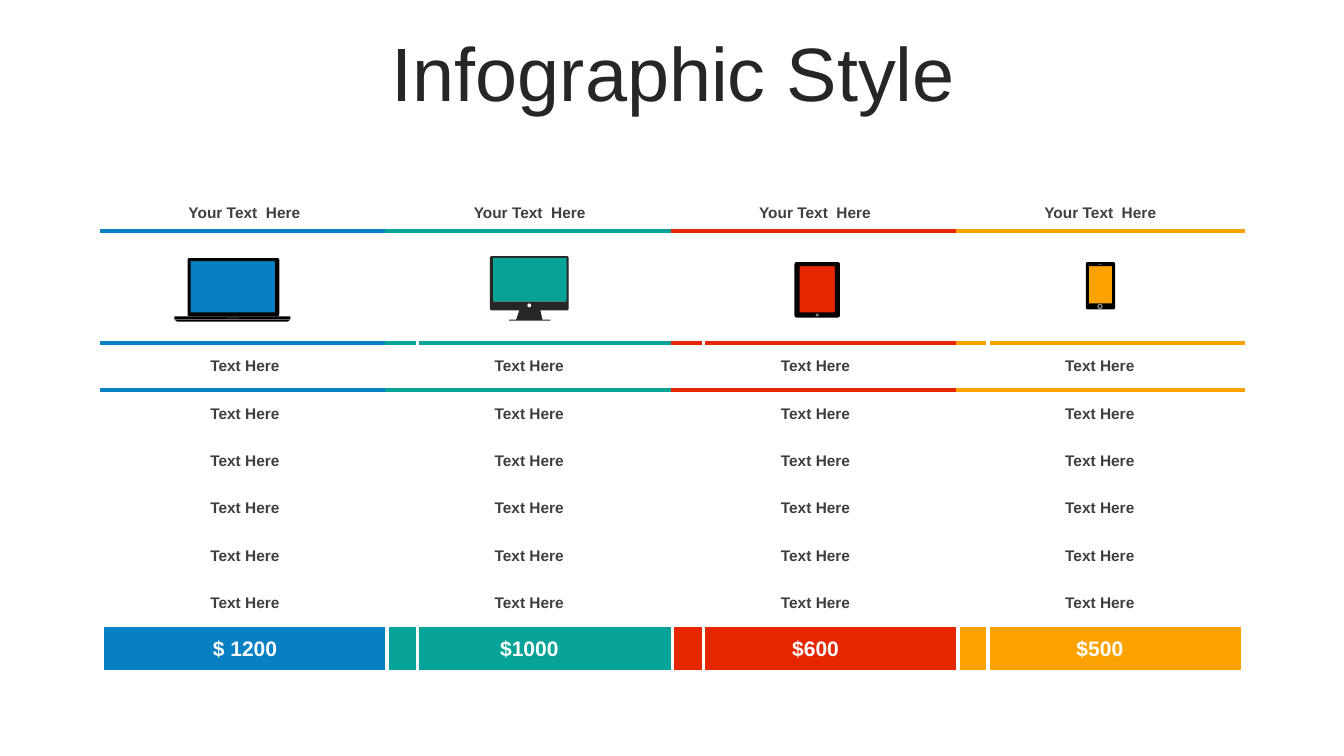
from math import cos, pi, sin

from lxml.etree import SubElement
from pptx import Presentation
from pptx.dml.color import RGBColor
from pptx.enum.shapes import MSO_SHAPE
from pptx.enum.text import MSO_ANCHOR, PP_ALIGN
from pptx.oxml.ns import qn
from pptx.util import Inches, Pt

BLUE = RGBColor(0x06, 0x80, 0xC3)
TEAL = RGBColor(0x07, 0xA3, 0x98)
RED = RGBColor(0xE6, 0x26, 0x01)
ORANGE = RGBColor(0xFB, 0xA2, 0x00)
WHITE = RGBColor(0xFF, 0xFF, 0xFF)
BLACK = RGBColor(0x00, 0x00, 0x00)
INK = RGBColor(0x26, 0x26, 0x26)
DARK_GREY = RGBColor(0x3F, 0x3F, 0x3F)
GREY = RGBColor(0x7F, 0x7F, 0x7F)

FONT = "Arial"
NO_STYLE = "{2D5ABB26-0587-4C30-8999-92F81FD0307C}"
PLANS = [(BLUE, "$ 1200"), (TEAL, "$1000"), (RED, "$600"), (ORANGE, "$500")]
ROW_HEIGHTS = [0.36, 1.11] + [0.47] * 6 + [0.45]
PLAN_WIDTHS = [[0.31, 2.22, 0.3], [0.3, 2.22, 0.31]] * 2


def write(paragraph, text, size, color, bold=False):
    paragraph.text = text
    paragraph.alignment = PP_ALIGN.CENTER
    for span in paragraph.runs:
        span.font.name = FONT
        span.font.size = Pt(size)
        span.font.bold = bold
        span.font.color.rgb = color


def add_title(page):
    title = page.shapes.title
    title.left, title.top = Inches(0.35), Inches(0.37)
    title.width, title.height = Inches(12.66), Inches(0.79)
    title.text_frame.vertical_anchor = MSO_ANCHOR.MIDDLE
    paragraph = title.text_frame.paragraphs[0]
    write(paragraph, "Infographic Style", 54, INK)
    paragraph.line_spacing = 0.9


def set_borders(cell, borders):
    properties = cell._tc.get_or_add_tcPr()
    for side in ("L", "R", "T", "B"):
        if side in borders:
            line = SubElement(properties, qn(f"a:ln{side}"), w=str(Pt(3)))
            fill = SubElement(line, qn("a:solidFill"))
            SubElement(fill, qn("a:srgbClr"), val=str(borders[side]))


def plan_borders(row, part, color):
    last = len(ROW_HEIGHTS) - 1
    edges = {"T": {0: WHITE, 1: color, 2: color}, "B": {0: color, 1: color, last: WHITE}}
    borders = {side: rows[row] for side, rows in edges.items() if row in rows}
    if part == 0 or row < 2:
        borders["L"] = WHITE
    if part == 2 or row < 2:
        borders["R"] = WHITE
    return borders


def fill_cell(cell, text, size, color, background, borders):
    set_borders(cell, borders)
    cell.fill.solid()
    cell.fill.fore_color.rgb = background
    cell.vertical_anchor = MSO_ANCHOR.MIDDLE
    cell.margin_left = cell.margin_right = Inches(0.08)
    cell.margin_top = cell.margin_bottom = Inches(0.04 if text else 0)
    if text:
        write(cell.text_frame.paragraphs[0], text, size, color, True)


def add_price_table(page):
    widths = [width for plan in PLAN_WIDTHS for width in plan]
    frame = page.shapes.add_table(
        len(ROW_HEIGHTS), len(widths), Inches(1.01), Inches(1.93),
        Inches(sum(widths)), Inches(sum(ROW_HEIGHTS)))
    table = frame.table
    table.first_row = table.horz_banding = False
    table._tbl.tblPr.find(qn("a:tableStyleId")).text = NO_STYLE
    for column, width in zip(table.columns, widths):
        column.width = Inches(width)
    for row, height in zip(table.rows, ROW_HEIGHTS):
        row.height = Inches(height)

    for plan, (color, price) in enumerate(PLANS):
        first = plan * 3
        for row in range(len(ROW_HEIGHTS)):
            is_price = row == len(ROW_HEIGHTS) - 1
            texts = ["", "Text Here", ""]
            if row == 0:
                texts = ["Your Text  Here", "", ""]
            elif row == 1:
                texts = ["", "", ""]
            elif is_price:
                texts = ["", price, ""]
            for part, text in enumerate(texts):
                fill_cell(
                    table.cell(row, first + part), text,
                    15 if is_price else 11,
                    WHITE if is_price else DARK_GREY,
                    color if is_price else WHITE,
                    plan_borders(row, part, color))
            if row < 2:
                table.cell(row, first).merge(table.cell(row, first + 2))


def paint(shape, color):
    shape.shadow.inherit = False
    shape.fill.solid()
    shape.fill.fore_color.rgb = color
    shape.line.fill.background()


def add_part(group, kind, left, top, width, height, color):
    shape = group.shapes.add_shape(
        kind, Inches(left), Inches(top), Inches(width), Inches(height))
    paint(shape, color)
    return shape


def arc(x, y, radius, start, sweep, steps):
    angles = [start + sweep * step / steps for step in range(steps + 1)]
    return [(x + radius * cos(a), y + radius * sin(a)) for a in angles]


def rounded(left, top, right, bottom, radius=0.02):
    corners = [(right - radius, bottom - radius), (left + radius, bottom - radius),
               (left + radius, top + radius), (right - radius, top + radius)]
    return [point for turn, (x, y) in enumerate(corners)
            for point in arc(x, y, radius, turn * pi / 2, pi / 2, 4)]


def rectangle(left, top, right, bottom):
    return [(left, top), (right, top), (right, bottom), (left, bottom)]


def add_frame(group, color, *contours):
    contours = [[(Inches(x), Inches(y)) for x, y in contour] for contour in contours]
    builder = group.shapes.build_freeform(*contours[0][0])
    for number, contour in enumerate(contours):
        if number:
            builder.move_to(*contour[0])
        builder.add_line_segments(contour[1:], close=True)
    paint(builder.convert_to_shape(), color)


def add_laptop(page):
    group = page.shapes.add_group_shape()
    add_part(group, MSO_SHAPE.RECTANGLE, 1.87, 2.58, 0.86, 0.54, BLUE)
    add_frame(group, BLACK, rounded(1.86, 2.56, 2.77, 3.14),
              rectangle(1.89, 2.59, 2.73, 3.1))
    add_part(group, MSO_SHAPE.RECTANGLE, 1.73, 3.14, 1.15, 0.03, BLACK)
    base = add_part(group, MSO_SHAPE.TRAPEZOID, 1.73, 3.17, 1.15, 0.02, BLACK)
    base.rotation = 180
    base.adjustments[0] = 1.3
    add_part(group, MSO_SHAPE.RECTANGLE, 2.25, 3.15, 0.12, 0.01, DARK_GREY)


def add_monitor(page):
    group = page.shapes.add_group_shape()
    stand = [(5.15, 3.08), (5.36, 3.08), (5.38, 3.17), (5.46, 3.17),
             (5.46, 3.18), (5.05, 3.18), (5.05, 3.17), (5.12, 3.17)]
    add_frame(group, INK, rounded(4.86, 2.54, 5.64, 3.08),
              rectangle(4.89, 2.57, 5.61, 2.99),
              arc(5.25, 3.03, 0.02, 0, 2 * pi, 16), stand)
    add_part(group, MSO_SHAPE.RECTANGLE, 4.89, 2.56, 0.73, 0.43, TEAL)


def add_tablet(page):
    group = page.shapes.add_group_shape()
    add_part(group, MSO_SHAPE.RECTANGLE, 7.91, 2.62, 0.4, 0.52, RED)
    add_frame(group, BLACK, rounded(7.88, 2.6, 8.33, 3.15),
              rectangle(7.93, 2.64, 8.28, 3.1))
    add_part(group, MSO_SHAPE.OVAL, 8.09, 3.11, 0.03, 0.03, GREY)


def add_phone(page):
    group = page.shapes.add_group_shape()
    add_part(group, MSO_SHAPE.RECTANGLE, 10.8, 2.63, 0.24, 0.4, ORANGE)
    add_frame(group, BLACK, rounded(10.77, 2.6, 11.06, 3.07),
              rectangle(10.8, 2.64, 11.03, 3.01))
    speaker = add_part(group, MSO_SHAPE.ROUNDED_RECTANGLE, 10.89, 2.62, 0.04, 0.01, DARK_GREY)
    speaker.adjustments[0] = 0.5
    button = add_part(group, MSO_SHAPE.OVAL, 10.89, 3.02, 0.04, 0.04, BLACK)
    button.fill.background()
    button.line.color.rgb = GREY
    button.line.width = Pt(1)


def main():
    deck = Presentation()
    deck.slide_width, deck.slide_height = Inches(13.33), Inches(7.5)
    page = deck.slides.add_slide(deck.slide_layouts[5])
    add_title(page)
    add_price_table(page)
    for add_device in (add_monitor, add_laptop, add_tablet, add_phone):
        add_device(page)
    deck.save("out.pptx")


if __name__ == "__main__":
    main()
